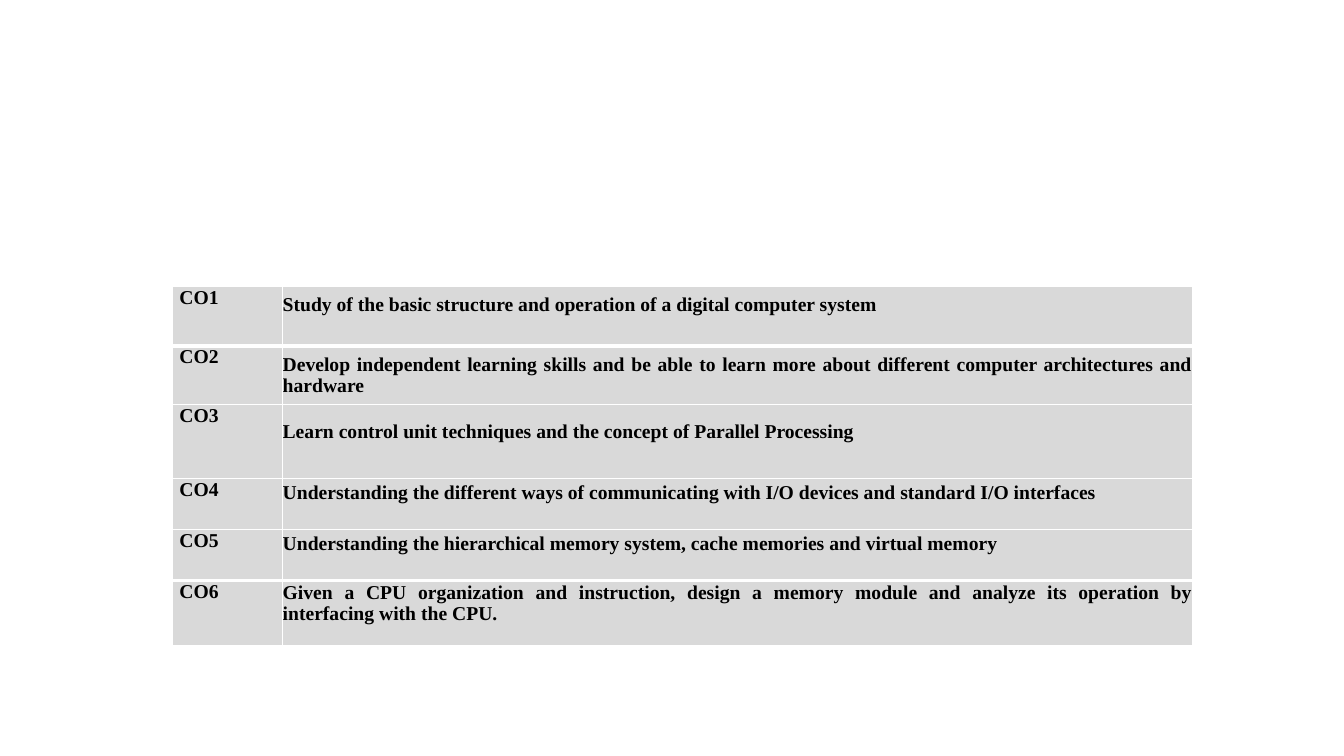
from pptx import Presentation
from pptx.dml.color import RGBColor
from pptx.enum.text import MSO_ANCHOR as Anchor, PP_ALIGN as Align
from pptx.oxml import parse_xml
from pptx.oxml.ns import nsdecls
from pptx.util import Pt

OUTCOMES = [
    ("Study of the basic structure and operation of a digital computer system", 42.2, 16),
    ("Develop independent learning skills and be able to learn more about "
     "different computer architectures and hardware", 42.2, 0),
    ("Learn control unit techniques and the concept of Parallel Processing", 52.8, 13.7),
    ("Understanding the different ways of communicating with I/O devices "
     "and standard I/O interfaces", 36.4, 16),
    ("Understanding the hierarchical memory system, cache memories and virtual memory",
     36.4, 16),
    ("Given a CPU organization and instruction, design a memory module and "
     "analyze its operation by interfacing with the CPU.", 46.4, 14),
]
COLUMN_SHARES = (0.108, 0.892)
THICK_RULES = (1, 5)


def color(value):
    """Turn a hex string into a colour."""
    return RGBColor.from_string(value)


def set_borders(cell, widths, value):
    """Draw the left, right, top and bottom borders with widths in points."""
    properties = cell._tc.get_or_add_tcPr()
    for index, (side, width) in enumerate(zip("LRTB", widths)):
        properties.insert(index, parse_xml(
            f'<a:ln{side} {nsdecls("a")} w="{Pt(width)}"><a:solidFill>'
            f'<a:srgbClr val="{value}"/></a:solidFill></a:ln{side}>'))


def fill_cell(cell, text, align, formats):
    """Write bold text in a grey cell with the given cell formats."""
    for name, value in formats.items():
        setattr(cell, name, value)
    cell.fill.solid()
    cell.fill.fore_color.rgb = color("D9D9D9")
    para = cell.text_frame.paragraphs[0]
    para.alignment = align
    span = para.add_run()
    span.text = text
    for name, value in {"name": "Times New Roman", "size": Pt(14), "bold": True}.items():
        setattr(span.font, name, value)
    span.font.color.rgb = color("000000")


def add_outcomes(page, box):
    """Place the table of course outcomes in the box."""
    left, top, width = box
    height = sum(row_height for _, row_height, _ in OUTCOMES)
    table = page.shapes.add_table(len(OUTCOMES), len(COLUMN_SHARES),
                                  Pt(left), Pt(top), Pt(width), Pt(height)).table
    for column, share in zip(table.columns, COLUMN_SHARES):
        column.width = Pt(width * share)
    for index, (text, row_height, gap) in enumerate(OUTCOMES):
        table.rows[index].height = Pt(row_height)
        margins = {"margin_left": 0, "margin_right": 0, "margin_top": 0, "margin_bottom": 0}
        label, outcome = table.rows[index].cells
        fill_cell(label, f"CO{index + 1}", Align.LEFT,
                  margins | {"margin_left": Pt(5), "vertical_anchor": Anchor.TOP})
        fill_cell(outcome, text, Align.JUSTIFY,
                  margins | {"margin_bottom": Pt(gap), "vertical_anchor": Anchor.MIDDLE})
        rules = [3 if rule in THICK_RULES else 1 for rule in (index, index + 1)]
        for cell in (label, outcome):
            set_borders(cell, [1, 1, *rules], "FFFFFF")


def main():
    """Build and save the deck."""
    deck = Presentation()
    deck.slide_width, deck.slide_height = Pt(960), Pt(540)
    page = deck.slides.add_slide(deck.slide_layouts[6])
    add_outcomes(page, (123.2, 204.8, 729))
    deck.save("out.pptx")


if __name__ == "__main__":
    main()
